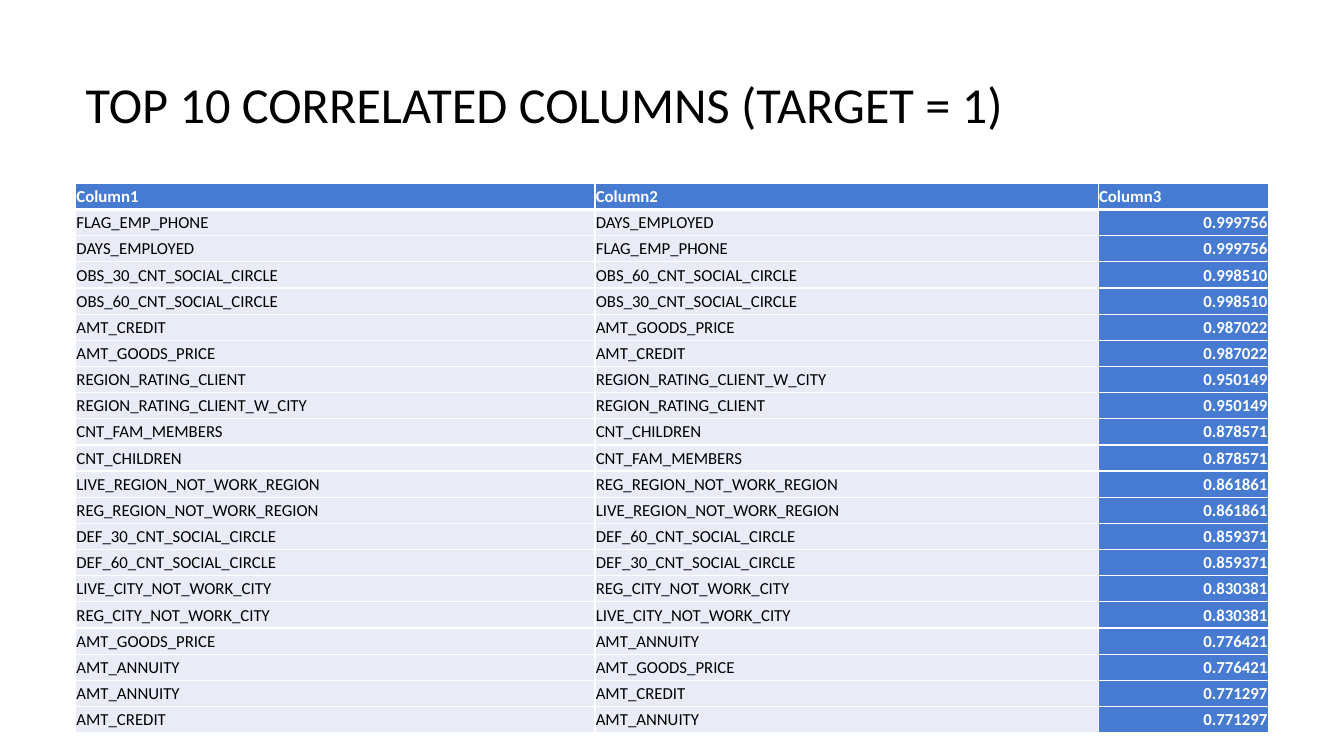
"""Build the slide that tabulates the most strongly correlated columns."""
from dataclasses import dataclass

from lxml import etree
from pptx import Presentation
from pptx.dml.color import RGBColor
from pptx.enum.text import MSO_ANCHOR, MSO_AUTO_SIZE, PP_ALIGN
from pptx.oxml.ns import qn
from pptx.util import Pt

MIDDLE = MSO_ANCHOR.MIDDLE
NO_AUTOFIT = MSO_AUTO_SIZE.NONE
LEFT, RIGHT = PP_ALIGN.LEFT, PP_ALIGN.RIGHT

TITLE = "TOP 10 CORRELATED COLUMNS (TARGET = 1)"
HEADINGS = ("Column1", "Column2", "Column3")
CORRELATED_PAIRS = [
    ("FLAG_EMP_PHONE", "DAYS_EMPLOYED", "0.999756"),
    ("OBS_30_CNT_SOCIAL_CIRCLE", "OBS_60_CNT_SOCIAL_CIRCLE", "0.998510"),
    ("AMT_CREDIT", "AMT_GOODS_PRICE", "0.987022"),
    ("REGION_RATING_CLIENT", "REGION_RATING_CLIENT_W_CITY", "0.950149"),
    ("CNT_FAM_MEMBERS", "CNT_CHILDREN", "0.878571"),
    ("LIVE_REGION_NOT_WORK_REGION", "REG_REGION_NOT_WORK_REGION", "0.861861"),
    ("DEF_30_CNT_SOCIAL_CIRCLE", "DEF_60_CNT_SOCIAL_CIRCLE", "0.859371"),
    ("LIVE_CITY_NOT_WORK_CITY", "REG_CITY_NOT_WORK_CITY", "0.830381"),
    ("AMT_GOODS_PRICE", "AMT_ANNUITY", "0.776421"),
    ("AMT_ANNUITY", "AMT_CREDIT", "0.771297"),
]

SLIDE_WIDTH, SLIDE_HEIGHT = 960, 540
MARGIN = 54
TITLE_TOP, TITLE_HEIGHT = 16.5, 114.5
TABLE_TOP, TABLE_HEIGHT = 131, 392.5
COLUMN_WIDTHS = (371, 359.5, 121.5)
CELL_INSET = 0.6
THIN_BORDER, THICK_BORDER = 1, 3


@dataclass(frozen=True)
class Theme:
    """Hold the font, colours and type sizes."""
    font: str = "Calibri"
    text: str = "000000"
    light: str = "FFFFFF"
    accent: str = "477BD1"
    band: str = "E9ECF7"
    title_size: int = 36
    cell_size: int = 12


THEME = Theme()


def write_text(frame, text, size, color, bold=False, alignment=LEFT):
    """Write one formatted run into a text frame."""
    paragraph = frame.paragraphs[0]
    paragraph.alignment = alignment
    run = paragraph.add_run()
    run.text = text
    run.font.name = THEME.font
    run.font.size = Pt(size)
    run.font.bold = bold
    run.font.color.rgb = RGBColor.from_string(color)


def set_borders(cell, top, bottom):
    """Draw light borders, with the given top and bottom widths in points."""
    properties = cell._tc.get_or_add_tcPr()
    widths = {"a:lnL": THIN_BORDER, "a:lnR": THIN_BORDER, "a:lnT": top, "a:lnB": bottom}
    for position, (tag, width) in enumerate(widths.items()):
        line = etree.Element(qn(tag), w=str(int(Pt(width))))
        fill = etree.SubElement(line, qn("a:solidFill"))
        etree.SubElement(fill, qn("a:srgbClr"), val=THEME.light)
        properties.insert(position, line)


def fill_cell(cell, text, row, column):
    """Format a cell by its place: header, name or correlation value."""
    is_header = row == 0
    is_value = not is_header and column == len(HEADINGS) - 1
    strong = is_header or is_value
    cell.fill.solid()
    cell.fill.fore_color.rgb = RGBColor.from_string(THEME.accent if strong else THEME.band)
    cell.vertical_anchor = MIDDLE
    cell.margin_left = cell.margin_right = cell.margin_top = Pt(CELL_INSET)
    cell.margin_bottom = Pt(0)
    write_text(cell.text_frame, text, THEME.cell_size,
               THEME.light if strong else THEME.text,
               strong, RIGHT if is_value else LEFT)
    set_borders(cell, THICK_BORDER if row == 1 else THIN_BORDER,
                THICK_BORDER if is_header else THIN_BORDER)


def add_title(slide):
    """Place and format the title placeholder."""
    title = slide.shapes.title
    title.left, title.top = Pt(MARGIN), Pt(TITLE_TOP)
    title.width, title.height = Pt(sum(COLUMN_WIDTHS)), Pt(TITLE_HEIGHT)
    frame = title.text_frame
    frame.auto_size = NO_AUTOFIT
    frame.word_wrap = True
    frame.vertical_anchor = MIDDLE
    write_text(frame, TITLE, THEME.title_size, THEME.text)


def add_correlation_table(slide):
    """Add the table, listing each pair in both directions."""
    rows = [HEADINGS]
    for first, second, correlation in CORRELATED_PAIRS:
        rows += [(first, second, correlation), (second, first, correlation)]
    table = slide.shapes.add_table(
        len(rows), len(HEADINGS), Pt(MARGIN), Pt(TABLE_TOP),
        Pt(sum(COLUMN_WIDTHS)), Pt(TABLE_HEIGHT)).table
    table.horz_banding = False
    for column, width in zip(table.columns, COLUMN_WIDTHS):
        column.width = Pt(width)
    for row, texts in enumerate(rows):
        table.rows[row].height = Pt(TABLE_HEIGHT / len(rows))
        for column, text in enumerate(texts):
            fill_cell(table.cell(row, column), text, row, column)


def main():
    """Build and save the presentation."""
    presentation = Presentation()
    presentation.slide_width = Pt(SLIDE_WIDTH)
    presentation.slide_height = Pt(SLIDE_HEIGHT)
    slide = presentation.slides.add_slide(presentation.slide_layouts.get_by_name("Title Only"))
    add_title(slide)
    add_correlation_table(slide)
    presentation.save("out.pptx")


if __name__ == "__main__":
    main()
